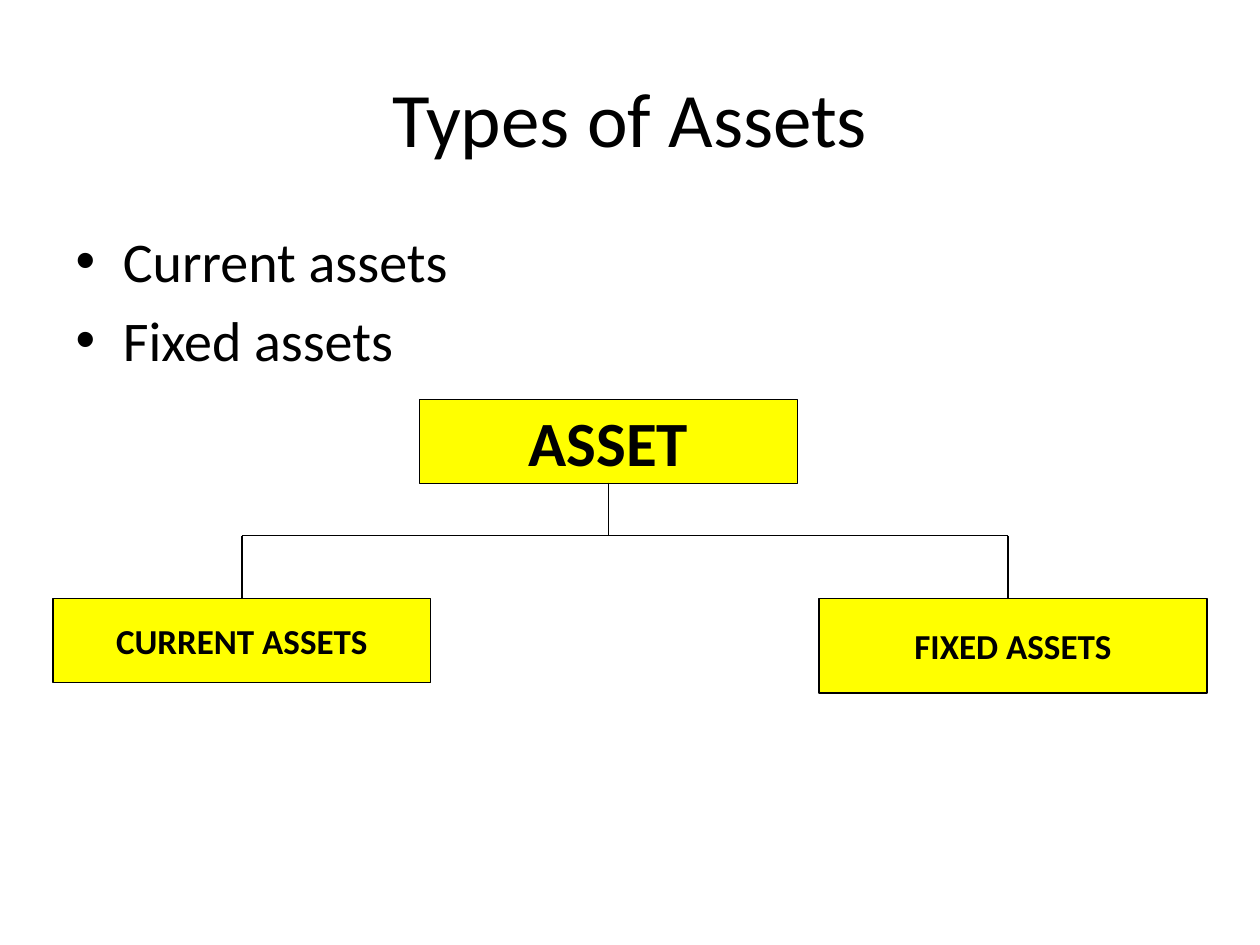
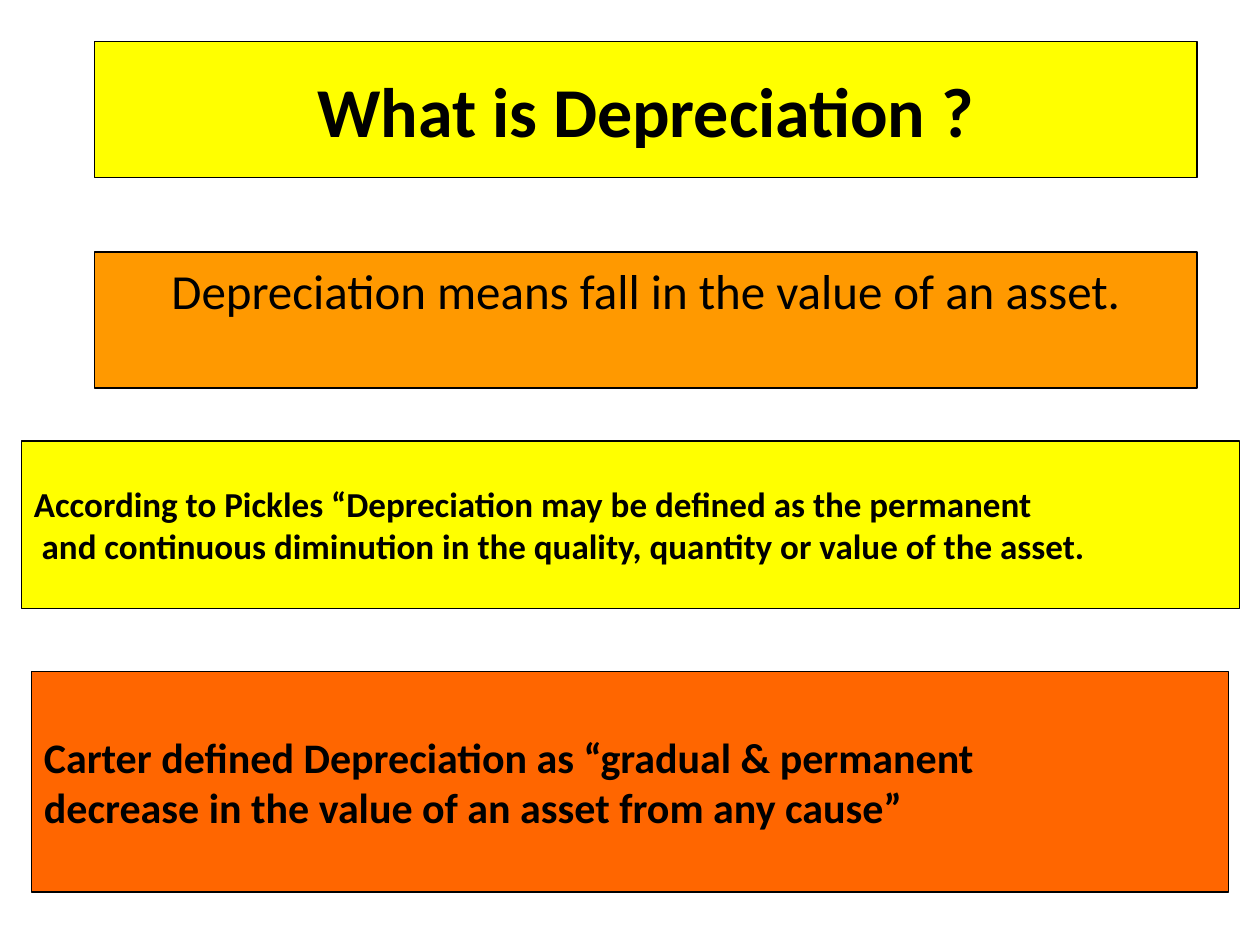
from dataclasses import dataclass

from lxml.etree import SubElement
from pptx import Presentation
from pptx.dml.color import RGBColor
from pptx.enum.shapes import MSO_CONNECTOR, MSO_SHAPE
from pptx.enum.text import MSO_ANCHOR, PP_ALIGN
from pptx.oxml.ns import qn
from pptx.util import Inches, Pt


@dataclass(frozen=True)
class Theme:
    font: str = "Calibri"
    ink: str = "000000"
    yellow: str = "FFFF00"
    amber: str = "FF9900"
    orange: str = "FF6600"
    line: float = 0.75
    title: int = 44
    banner: int = 40
    root: int = 36
    body: int = 32
    lead: int = 28
    quote: int = 24
    label: int = 20


THEME = Theme()


def place(shape, left, top, width, height):
    shape.left, shape.top = Inches(left), Inches(top)
    shape.width, shape.height = Inches(width), Inches(height)


def write(shape, lines, size, bold=False, align=None, anchor=MSO_ANCHOR.MIDDLE):
    frame = shape.text_frame
    frame.word_wrap = True
    frame.vertical_anchor = anchor
    for index, line in enumerate(lines):
        para = frame.add_paragraph() if index else frame.paragraphs[0]
        para.alignment = align
        span = para.add_run()
        span.text = line
        span.font.name = THEME.font
        span.font.size = Pt(size)
        span.font.bold = bold
        span.font.color.rgb = RGBColor.from_string(THEME.ink)


def paint(shape, fill):
    shape.fill.solid()
    shape.fill.fore_color.rgb = RGBColor.from_string(fill)
    shape.line.color.rgb = RGBColor.from_string(THEME.ink)
    shape.line.width = Pt(THEME.line)


def add_title(page, text, area, size, bold=False):
    title = page.shapes.title
    place(title, *area)
    write(title, [text], size, bold, PP_ALIGN.CENTER)
    return title


def add_bullets(page, lines, area):
    body = page.placeholders[1]
    place(body, *area)
    write(body, lines, THEME.body, anchor=MSO_ANCHOR.TOP)


def add_box(page, lines, area, fill, size, bold=True,
            align=PP_ALIGN.CENTER, anchor=MSO_ANCHOR.MIDDLE):
    box = page.shapes.add_shape(MSO_SHAPE.RECTANGLE, *map(Inches, area))
    box.shadow.inherit = False
    paint(box, fill)
    write(box, lines, size, bold, align, anchor)
    return box


def add_line(page, start, end):
    line = page.shapes.add_connector(
        MSO_CONNECTOR.STRAIGHT, *map(Inches, (*start, *end)))
    line.line.color.rgb = RGBColor.from_string(THEME.ink)
    line.line.width = Pt(THEME.line)
    SubElement(line._element.spPr, qn("a:effectLst"))


def add_asset_tree(page):
    trunk, left, right = 4.83, 1.92, 8
    root_bottom, branch, leaf_top = 3.83, 4.25, 4.75
    add_box(page, ["ASSET"], (3.33, 3.17, 3, 0.67), THEME.yellow, THEME.root)
    add_line(page, (trunk, root_bottom), (trunk, branch))
    add_line(page, (left, branch), (right, branch))
    for x in (left, right):
        add_line(page, (x, branch), (x, leaf_top))
    add_box(page, ["CURRENT ASSETS"], (0.42, leaf_top, 3, 0.67),
            THEME.yellow, THEME.label)
    add_box(page, ["FIXED ASSETS"], (6.5, leaf_top, 3.08, 0.75),
            THEME.yellow, THEME.label)


def build_types(deck):
    page = deck.slides.add_slide(deck.slide_layouts.get_by_name("Title and Content"))
    add_title(page, "Types of Assets", (0.5, 0.3, 9, 1.25), THEME.title)
    add_bullets(page, ["Current assets", "Fixed assets"], (0.5, 1.75, 9, 4.95))
    add_asset_tree(page)


def build_definition(deck):
    page = deck.slides.add_slide(deck.slide_layouts.get_by_name("Title Only"))
    title = add_title(page, "What is Depreciation ?", (0.75, 0.33, 8.75, 1.08),
                      THEME.banner, bold=True)
    paint(title, THEME.yellow)
    meaning = add_box(page, ["Depreciation means fall in the value of an asset."],
                      (0.75, 2, 8.75, 1.08), THEME.amber, THEME.lead,
                      bold=False, anchor=MSO_ANCHOR.TOP)
    meaning.text_frame.margin_top = Inches(0.07)
    add_box(page, ["According to Pickles “Depreciation may be defined as the permanent",
                   " and continuous diminution in the quality, quantity or value of the asset."],
            (0.17, 3.5, 9.67, 1.33), THEME.yellow, THEME.label, align=PP_ALIGN.LEFT)
    add_box(page, ["Carter defined Depreciation as “gradual & permanent",
                   "decrease in the value of an asset from any cause”"],
            (0.25, 5.33, 9.5, 1.75), THEME.orange, THEME.quote, align=PP_ALIGN.LEFT)


def main():
    deck = Presentation()
    deck.slide_width, deck.slide_height = Inches(10), Inches(7.5)
    build_types(deck)
    build_definition(deck)
    deck.save("out.pptx")


main()
